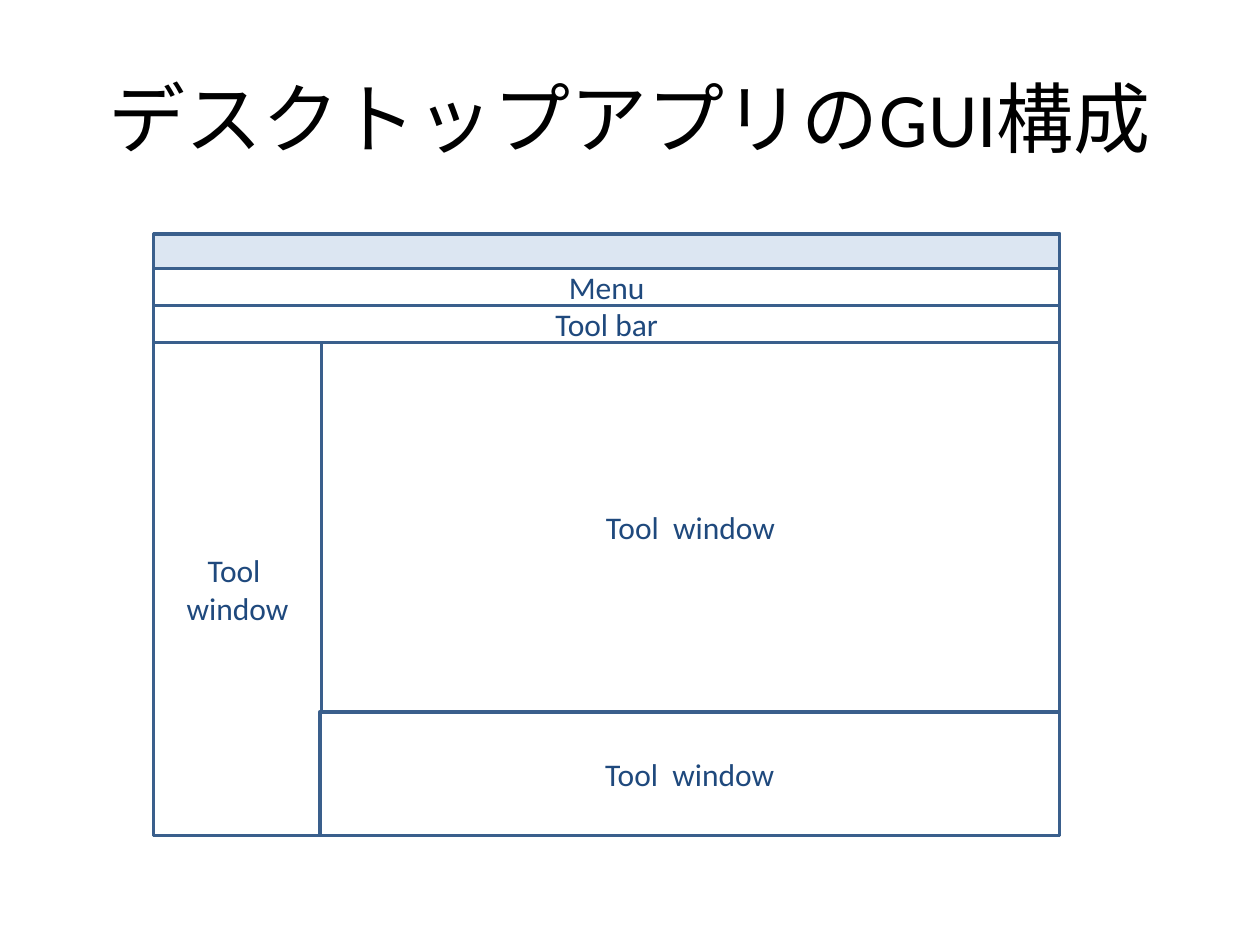
from pptx import Presentation
from pptx.dml.color import RGBColor
from pptx.enum.shapes import MSO_SHAPE
from pptx.enum.text import MSO_ANCHOR, PP_ALIGN
from pptx.util import Cm, Pt

COLORS = {
    "title": "000000",
    "label": "1F497D",
    "border": "3A5F8C",
    "title_bar": "DCE6F2",
    "pane": "FFFFFF",
}

# Window edges and dividers, in centimetres
LEFT, RIGHT = 3.1, 21.36
TOP, BOTTOM = 4.72, 16.84
BAR_HEIGHT = 0.75
MENU_TOP = 5.41
TOOL_BAR_TOP = MENU_TOP + BAR_HEIGHT
PANES_TOP = TOOL_BAR_TOP + BAR_HEIGHT
SIDE_RIGHT = 6.48
LOWER_LEFT = 6.45
LOWER_TOP = 14.35


def color(name):
    return RGBColor.from_string(COLORS[name])


def write_text(box, text, size=18, ink="label", font="Calibri"):
    """Fill a shape with centred text, one paragraph per line."""
    frame = box.text_frame
    frame.word_wrap = True
    frame.vertical_anchor = MSO_ANCHOR.MIDDLE
    frame.text = text
    for para in frame.paragraphs:
        para.alignment = PP_ALIGN.CENTER
        for span in para.runs:
            span.font.name = font
            span.font.size = Pt(size)
            span.font.color.rgb = color(ink)


def add_title(page, text):
    box = page.shapes.title
    box.left, box.top, box.width, box.height = Cm(1.27), Cm(0.76), Cm(22.86), Cm(3.18)
    write_text(box, text, size=44, ink="title")


def add_pane(window, left, top, right, bottom, text="", fill="pane"):
    """Add a bordered rectangle between the given edges."""
    box = window.shapes.add_shape(
        MSO_SHAPE.RECTANGLE, Cm(left), Cm(top), Cm(right - left), Cm(bottom - top))
    box.shadow.inherit = False
    box.line.color.rgb = color("border")
    box.line.width = Pt(2)
    if fill:
        box.fill.solid()
        box.fill.fore_color.rgb = color(fill)
    else:
        box.fill.background()
    if text:
        write_text(box, text)


def add_window(page):
    window = page.shapes.add_group_shape()

    # Frame and title bar
    add_pane(window, LEFT, TOP, RIGHT, BOTTOM, fill=None)
    add_pane(window, LEFT, TOP, RIGHT, TOP + BAR_HEIGHT, fill="title_bar")

    # Menu and tool bar
    for top, text in ((MENU_TOP, "Menu"), (TOOL_BAR_TOP, "Tool bar")):
        add_pane(window, LEFT, top, RIGHT, top + BAR_HEIGHT, text)

    # Tool windows: side, main, lower
    add_pane(window, LEFT, PANES_TOP, SIDE_RIGHT, BOTTOM, "Tool \nwindow")
    add_pane(window, SIDE_RIGHT, PANES_TOP, RIGHT, LOWER_TOP, "Tool  window")
    add_pane(window, LOWER_LEFT, LOWER_TOP, RIGHT, BOTTOM, "Tool  window")


def main():
    deck = Presentation()
    deck.slide_width, deck.slide_height = Cm(25.4), Cm(19.05)
    page = deck.slides.add_slide(deck.slide_layouts[5])  # title only
    add_title(page, "デスクトップアプリのGUI構成")
    add_window(page)
    deck.save("out.pptx")


if __name__ == "__main__":
    main()
